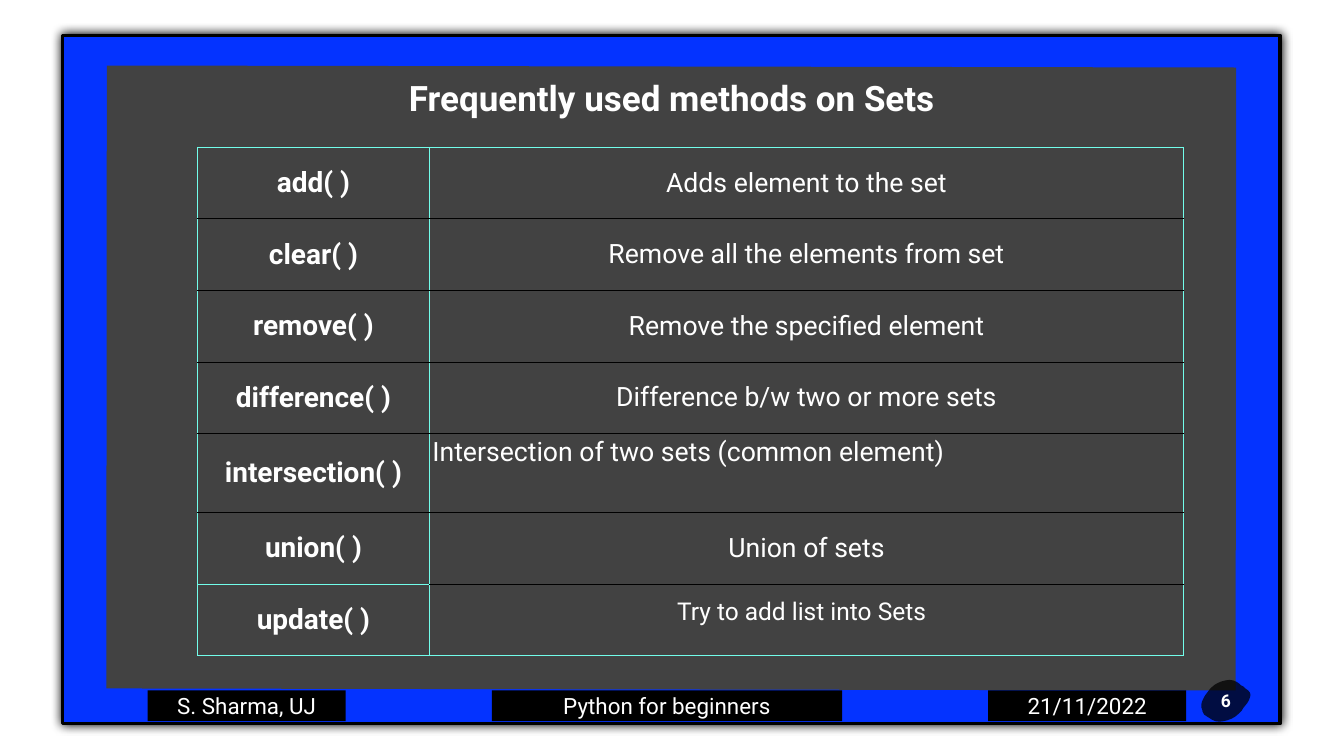
from lxml import etree
from pptx import Presentation
from pptx import util as u
from pptx.dml.color import RGBColor
from pptx.enum import shapes, text
from pptx.oxml import parse_xml
from pptx.oxml.ns import nsdecls, qn

PX = 9144
FONT = "Roboto"
C = {"blue": "0433FF", "panel": "424242", "black": "000000", "white": "FFFFFF", "mint": "72FDEA"}
METHODS = [
    ("add( )", "Adds element to the set"),
    ("clear( )", "Remove all the elements from set"),
    ("remove( )", "Remove the specified element"),
    ("difference( )", "Difference b/w two or more sets"),
    ("intersection( )", "Intersection of two sets (common element)"),
    ("union( )", "Union of sets"),
    ("update( )", ""),
]
FOOTERS = [
    (293, 393, "S. Sharma, UJ"),
    (976, 695, "Python for beginners"),
    (1961, 393, "21/11/2022"),
]
PANEL = [(212, 130), (2453, 134), (2452, 1370), (211, 1366)]
BADGE = [
    (2460, 1357),
    (2467, 1364), (2483, 1370), (2481, 1381),
    (2480, 1392), (2464, 1410), (2457, 1417),
    (2443, 1432), (2413, 1438), (2399, 1424),
    (2395, 1420), (2390, 1420), (2388, 1415),
    (2386, 1411), (2383, 1402), (2384, 1397),
    (2385, 1386), (2397, 1371), (2404, 1364),
    (2418, 1350), (2446, 1343), (2460, 1357),
]


def px(*values):
    return [u.Emu(v * PX) for v in values]


def color(name):
    return RGBColor.from_string(C[name])


def write(tf, value, size, bold=False, align=text.PP_ALIGN.CENTER):
    tf.margin_left = tf.margin_right = tf.margin_top = tf.margin_bottom = u.Emu(6 * PX)
    tf.vertical_anchor = text.MSO_ANCHOR.MIDDLE
    p = tf.paragraphs[0]
    p.text = value
    p.alignment = align
    p.font.name = FONT
    p.font.size = u.Pt(size)
    p.font.bold = bold
    p.font.color.rgb = color("white")


def paint(sp, fill):
    sp.shadow.inherit = False
    sp.fill.solid()
    sp.fill.fore_color.rgb = color(fill)
    sp.line.fill.background()
    return sp


def add_rect(s, box, fill):
    return paint(s.shapes.add_shape(shapes.MSO_SHAPE.RECTANGLE, *px(*box)), fill)


def add_outline(s, points, fill):
    builder = s.shapes.build_freeform(*points[0], scale=PX)
    builder.add_line_segments(points[1:], close=True)
    return paint(builder.convert_to_shape(), fill)


def add_label(s, box, value, size, bold=False):
    tf = s.shapes.add_textbox(*px(*box)).text_frame
    write(tf, value, size, bold)
    tf.word_wrap = False


def curve(points, steps=8):
    result = [points[0]]
    for i in range(0, len(points) - 1, 3):
        a, b, c, d = points[i:i + 4]
        for t in (k / steps for k in range(1, steps + 1)):
            v = 1 - t
            result.append(tuple(
                v**3 * a[j] + 3 * v * v * t * b[j] + 3 * v * t * t * c[j] + t**3 * d[j]
                for j in (0, 1)))
    return result


def add_frame(s):
    sp = add_rect(s, (124, 70, 2416, 1366), "blue")
    sp.line.color.rgb = color("black")
    sp.line.width = u.Pt(5)
    effects = sp._element.spPr.find(qn("a:effectLst"))
    effects.append(parse_xml(
        f'<a:outerShdw {nsdecls("a")} blurRad="{u.Pt(15)}" dist="0" dir="5400000" rotWithShape="0">'
        f'<a:srgbClr val="{C["black"]}"/></a:outerShdw>'))


def add_badge(s, number):
    sp = add_outline(s, curve(BADGE), "black")
    rgb = sp._element.spPr.find(qn("a:solidFill")).find(qn("a:srgbClr"))
    etree.SubElement(rgb, qn("a:alpha")).set("val", "74000")
    write(sp.text_frame, number, 25, True)


def set_borders(cell, **sides):
    tcPr = cell._tc.get_or_add_tcPr()
    for i, side in enumerate("LRTB"):
        tcPr.insert(i, parse_xml(
            f'<a:ln{side} {nsdecls("a")} w="{u.Pt(1)}"><a:solidFill>'
            f'<a:srgbClr val="{C[sides.get(side, "mint")]}"/></a:solidFill></a:ln{side}>'))


def add_methods(s):
    last = len(METHODS) - 1
    table = s.shapes.add_table(len(METHODS), 2, *px(392, 292, 1957, 1009)).table
    table.first_row = table.horz_banding = False
    for col, width in zip(table.columns, px(460, 1497)):
        col.width = width
    for i, row in enumerate(METHODS):
        table.rows[i].height = u.Emu((157 if i == 4 else 142) * PX)
        for j, value in enumerate(row):
            cell = table.cell(i, j)
            cell.fill.background()
            write(cell.text_frame, value, 38 if j else 40, j == 0)
            cell.margin_left = cell.margin_right = cell.margin_top = cell.margin_bottom = u.Emu(6 * PX)
            cell.vertical_anchor = text.MSO_ANCHOR.MIDDLE
            mint_top = i == 0 or (i == last and j == 0)
            mint_bottom = i == last or (i == last - 1 and j == 0)
            set_borders(cell, T="mint" if mint_top else "black", B="mint" if mint_bottom else "black")
    intersection = table.cell(4, 1)
    intersection.vertical_anchor = text.MSO_ANCHOR.TOP
    intersection.text_frame.paragraphs[0].alignment = text.PP_ALIGN.LEFT


def main():
    prs = Presentation()
    prs.slide_width, prs.slide_height = px(2667, 1500)
    s = prs.slides.add_slide(prs.slide_layouts[6])
    add_frame(s)
    add_outline(s, PANEL, "panel")
    for left, width, value in FOOTERS:
        write(add_rect(s, (left, 1370, width, 61), "black").text_frame, value, 32)
    add_badge(s, "6")
    add_label(s, (773, 147, 1121, 94), "Frequently used methods on Sets", 50, True)
    add_methods(s)
    add_label(s, (1336, 1179, 510, 67), "Try to add list into Sets", 35)
    prs.save("out.pptx")


if __name__ == "__main__":
    main()
